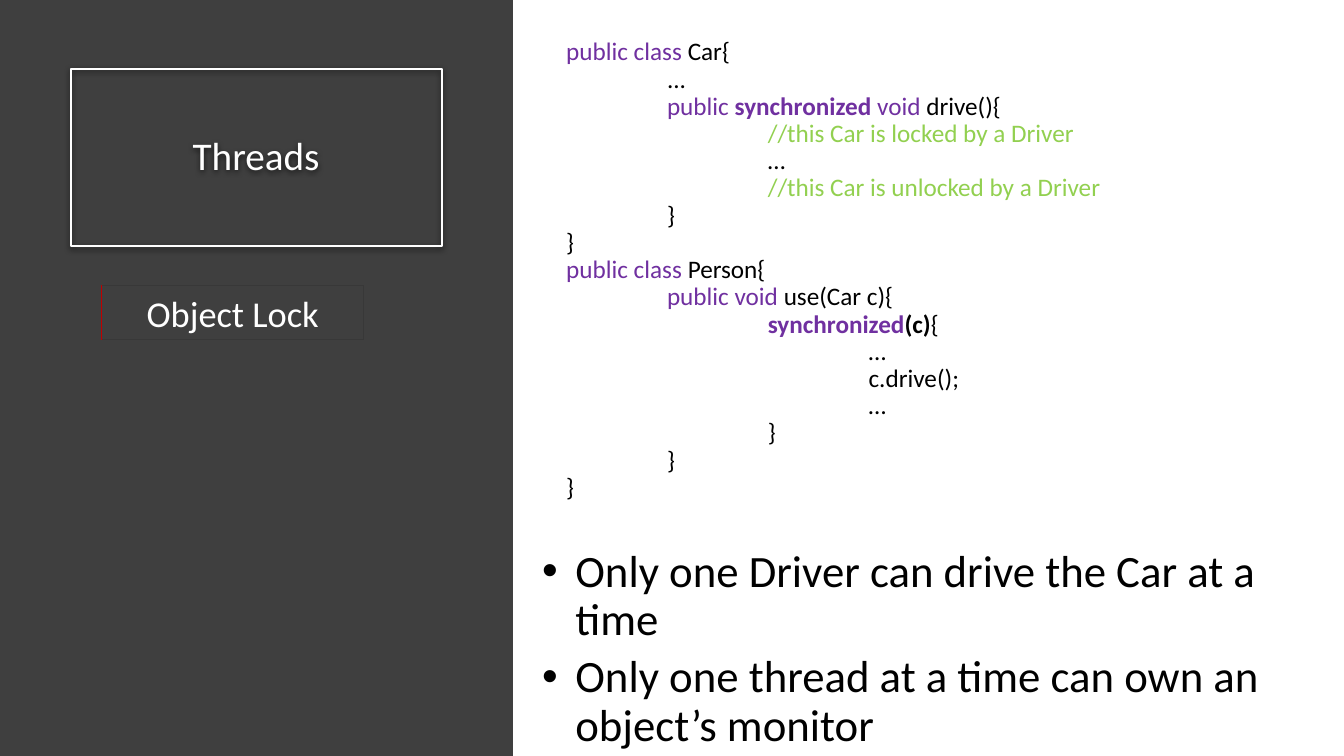
from lxml.etree import SubElement
from pptx import Presentation
from pptx.dml.color import RGBColor
from pptx.enum.shapes import MSO_CONNECTOR, MSO_SHAPE
from pptx.enum.text import MSO_ANCHOR, PP_ALIGN
from pptx.oxml import parse_xml
from pptx.oxml.ns import nsdecls, qn
from pptx.util import Cm, Pt

HUES = {"panel": "3F3F3F", "edge": "383838", "red": "C00000", "white": "FFFFFF",
        "black": "000000", "key": "7030A0", "note": "92D050"}
TAB = 2.54  # code indent per level, in cm

# Each code line: indent level, then (text, colour, bold) runs
CODE = [
    (0, ("public class ", "key"), ("Car{", "black")),
    (1, ("...", "black")),
    (1, ("public ", "key"), ("synchronized", "key", True), (" void ", "key"),
     ("drive(){", "black")),
    (2, ("//this Car is locked by a Driver", "note")),
    (2, ("…", "black")),
    (2, ("//this Car is unlocked by a Driver", "note")),
    (1, ("}", "black")),
    (0, ("}", "black")),
    (0, ("public class ", "key"), ("Person{", "black")),
    (1, ("public void ", "key"), ("use(Car c){", "black")),
    (2, ("synchronized", "key", True), ("(c)", "black", True), ("{", "black")),
    (3, ("…", "black")),
    (3, ("c.drive();", "black")),
    (3, ("…", "black")),
    (2, ("}", "black")),
    (1, ("}", "black")),
    (0, ("}", "black")),
]
POINTS = ["Only one Driver can drive the Car at a time",
          "Only one thread at a time can own an object’s monitor"]


def tint(name):
    return RGBColor.from_string(HUES[name])


def write(para, text, size=18, hue="black", bold=False, align=None, lead=None):
    """Add one formatted run to a paragraph."""
    run = para.add_run()
    run.text = text
    font = run.font
    font.name, font.size, font.bold = "Calibri", Pt(size), bold
    font.color.rgb = tint(hue)
    if align is not None:
        para.alignment = align
    if lead is not None:
        para.line_spacing = lead


def indent(para, left, first=0, bullet=None):
    """Set the left margin and first-line offset in cm, with a bullet if given."""
    props = para._p.get_or_add_pPr()
    props.set("marL", str(Cm(left)))
    props.set("indent", str(Cm(first)))
    if bullet:
        SubElement(props, qn("a:buFont")).set("typeface", "Arial")
        SubElement(props, qn("a:buChar")).set("char", bullet)


def lines(frame, count):
    """Return the given number of paragraphs of a text frame."""
    return [frame.paragraphs[0]] + [frame.add_paragraph() for _ in range(count - 1)]


def box(slide, left, top, width, height, fill=None, line=None):
    shape = slide.shapes.add_shape(
        MSO_SHAPE.RECTANGLE, Cm(left), Cm(top), Cm(width), Cm(height))
    shape.shadow.inherit = False
    if fill:
        shape.fill.solid()
        shape.fill.fore_color.rgb = tint(fill)
    else:
        shape.fill.background()
    if line:
        shape.line.color.rgb = tint(line)
        shape.line.width = Pt(0.75)
    else:
        shape.line.fill.background()
    return shape


def area(slide, left, top, width, height):
    frame = slide.shapes.add_textbox(
        Cm(left), Cm(top), Cm(width), Cm(height)).text_frame
    frame.word_wrap = True
    return frame


def head(slide, text):
    title = slide.shapes.title
    title.left, title.top = Cm(1.78), Cm(1.73)
    title.width, title.height = Cm(9.35), Cm(4.47)
    title.line.color.rgb = tint("white")
    title.line.width = Pt(1.5)
    title._element.spPr.append(parse_xml(
        f'<a:effectLst {nsdecls("a")}><a:outerShdw blurRad="{Pt(4.5)}" '
        f'dist="{Pt(1.5)}" dir="5400000" algn="ctr" rotWithShape="0">'
        '<a:srgbClr val="000000"><a:alpha val="63000"/></a:srgbClr>'
        '</a:outerShdw></a:effectLst>'))
    frame = title.text_frame
    frame.vertical_anchor = MSO_ANCHOR.MIDDLE
    write(frame.paragraphs[0], text, size=28, hue="white",
          align=PP_ALIGN.CENTER, lead=0.9)


def label(slide, text):
    left, top, width, height = 2.57, 7.19, 6.6, 1.37
    shape = box(slide, left, top, width, height, line="edge")
    write(shape.text_frame.paragraphs[0], text, size=26, hue="white",
          align=PP_ALIGN.CENTER)
    mark = slide.shapes.add_connector(
        MSO_CONNECTOR.STRAIGHT, Cm(left), Cm(top), Cm(left), Cm(top + height))
    mark.line.color.rgb = tint("red")
    mark.line.width = Pt(0.75)
    SubElement(mark._element.spPr, qn("a:effectLst"))


def code(slide):
    frame = area(slide, 14.02, 0.86, 15.06, 12.04)
    for para, (level, *runs) in zip(lines(frame, len(CODE)), CODE):
        indent(para, level * TAB)
        for text, hue, *bold in runs:
            write(para, text, hue=hue, bold=bool(bold), lead=0.9)


def points(slide):
    frame = area(slide, 13.41, 13.72, 20.12, 6.07)
    frame.margin_top = frame.margin_bottom = Cm(0.1)
    for para, text in zip(lines(frame, len(POINTS)), POINTS):
        para.space_before = Pt(6.4)
        write(para, text, size=32, lead=0.9)
        indent(para, 0.84, -0.84, "•")


def main():
    deck = Presentation()
    deck.slide_width, deck.slide_height = Cm(33.87), Cm(19.05)
    slide = deck.slides.add_slide(deck.slide_layouts[5])
    panel = box(slide, 0, 0, 12.93, 19.05, fill="panel")
    slide.shapes._spTree.insert(2, panel._element)  # behind the title
    head(slide, "Threads")
    label(slide, "Object Lock")
    code(slide)
    points(slide)
    deck.save("out.pptx")


if __name__ == "__main__":
    main()
